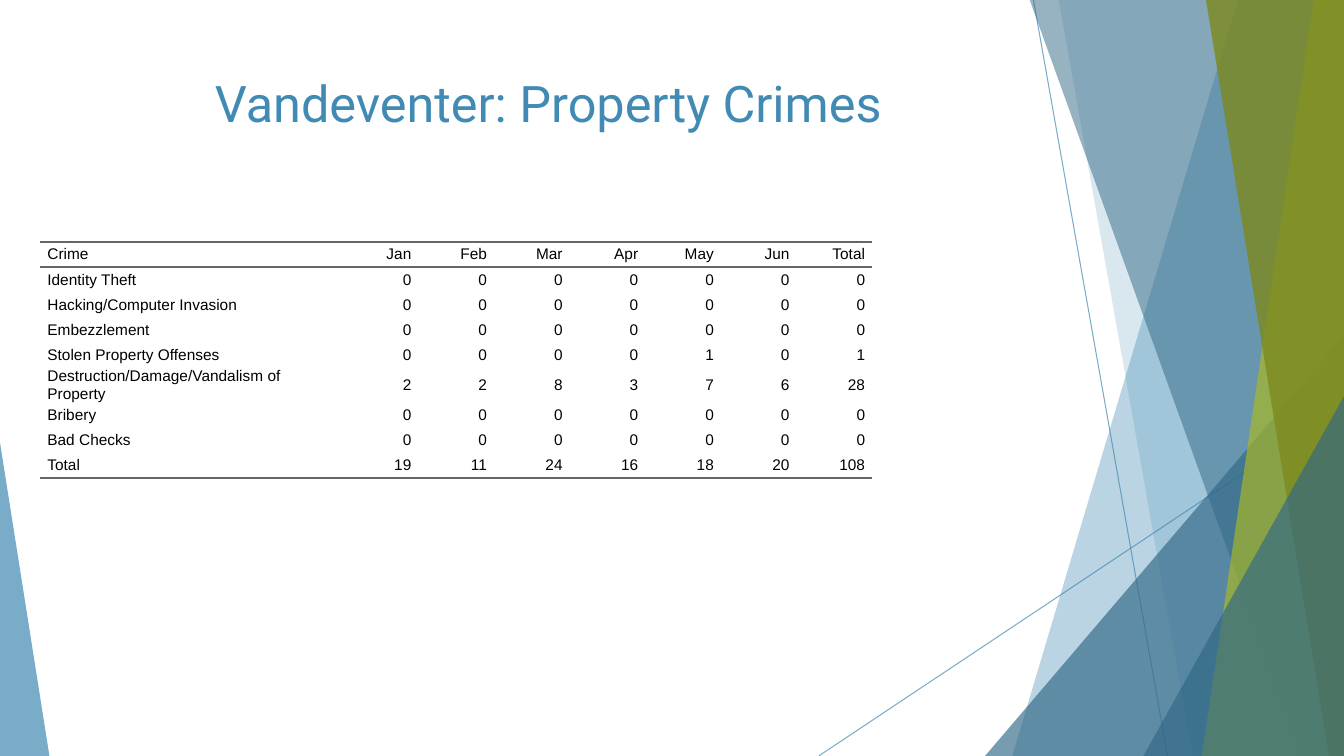
"""Build the Vandeventer property crimes slide."""
from lxml.etree import SubElement
from pptx import Presentation
from pptx.dml.color import RGBColor
from pptx.enum.shapes import MSO_CONNECTOR, MSO_SHAPE
from pptx.enum.text import MSO_ANCHOR, PP_ALIGN
from pptx.oxml.ns import qn
from pptx.util import Inches, Pt

TITLE = "Vandeventer: Property Crimes"
HEAD = ["Crime", "Jan", "Feb", "Mar", "Apr", "May", "Jun", "Total"]
CRIMES = [
    ("Identity Theft", 0, 0, 0, 0, 0, 0, 0),
    ("Hacking/Computer Invasion", 0, 0, 0, 0, 0, 0, 0),
    ("Embezzlement", 0, 0, 0, 0, 0, 0, 0),
    ("Stolen Property Offenses", 0, 0, 0, 0, 1, 0, 1),
    ("Destruction/Damage/Vandalism of Property", 2, 2, 8, 3, 7, 6, 28),
    ("Bribery", 0, 0, 0, 0, 0, 0, 0),
    ("Bad Checks", 0, 0, 0, 0, 0, 0, 0),
    ("Total", 19, 11, 24, 16, 18, 20, 108),
]
WIDE, HIGH = 13.33, 7.5
BLUE, NAVY, LIME, OLIVE = "418AB3", "316886", "A6B727", "7D891D"
BLACK, GRAY = "000000", "666666"
LINES = [(10.25, 0, 11.58, HIGH), (WIDE, 4.03, 8.12, HIGH)]
SHARDS = [
    ("slab", BLUE, 36, (12.28, 10.04)),
    ("slab", BLUE, 20, (10.5, 11.83)),
    ("wedge", NAVY, 66, (9.77, 3.33, 3.56, 1)),
    ("slab", NAVY, 50, (10.21, 12.91)),
    ("slab", LIME, 70, (13.03, 11.92)),
    ("slab", OLIVE, 80, (11.96, 13.18)),
    ("wedge", NAVY, 66, (11.34, 3.93, 1.99, 1)),
    ("wedge", BLUE, 70, (0, 4.39, 0.49, 0)),
]


def paint(color, code):
    color.rgb = RGBColor.from_string(code)


def fade(shape, alpha):
    for node in shape.element.iter(qn("a:srgbClr")):
        SubElement(node, qn("a:alpha"), val=str(alpha * 1000))


def add_line(slide, ends):
    line = slide.shapes.add_connector(MSO_CONNECTOR.STRAIGHT, *map(Inches, ends))
    line.line.width = Pt(0.75)
    paint(line.line.color, BLUE)
    fade(line, 70)
    SubElement(line.element.spPr, qn("a:effectLst"))


def add_slab(slide, top, base):
    rise = -0.01
    dots = [(WIDE, rise), (WIDE, HIGH), (base, HIGH)]
    pen = slide.shapes.build_freeform(Inches(top), Inches(rise))
    pen.add_line_segments([(Inches(x), Inches(y)) for x, y in dots])
    return pen.convert_to_shape()


def add_wedge(slide, left, top, width, peak):
    box = map(Inches, (left, top, width, HIGH - top))
    shape = slide.shapes.add_shape(MSO_SHAPE.ISOSCELES_TRIANGLE, *box)
    shape.adjustments[0] = peak
    return shape


def add_shard(slide, kind, code, alpha, size):
    make = {"slab": add_slab, "wedge": add_wedge}[kind]
    shape = make(slide, *size)
    shape.shadow.inherit = False
    shape.fill.solid()
    paint(shape.fill.fore_color, code)
    shape.line.fill.background()
    fade(shape, alpha)


def add_rule(cell, side):
    rule = SubElement(cell._tc.get_or_add_tcPr(), qn("a:" + side), w=str(Pt(2)))
    fill = SubElement(rule, qn("a:solidFill"))
    SubElement(fill, qn("a:srgbClr"), val=GRAY)


def set_cell(cell, text, first, sides):
    cell.margin_left = cell.margin_right = cell.margin_top = cell.margin_bottom = 0
    cell.vertical_anchor = MSO_ANCHOR.MIDDLE
    for side in sides:
        add_rule(cell, side)
    cell.fill.background()
    para = cell.text_frame.paragraphs[0]
    para.text = str(text)
    para.alignment = PP_ALIGN.LEFT if first else PP_ALIGN.RIGHT
    para.space_before = para.space_after = Pt(5)
    props = para._p.get_or_add_pPr()
    for name in ("marL", "marR"):
        props.set(name, str(Inches(0.07)))
    font = para.runs[0].font
    font.size, font.name = Pt(11), "Arial"
    paint(font.color, BLACK)


def add_grid(slide):
    rows = [HEAD, *CRIMES]
    cols = [3] + [0.75] * (len(HEAD) - 1)
    step = 0.25
    box = map(Inches, (0.4, 2.4, sum(cols), step * len(rows)))
    grid = slide.shapes.add_table(len(rows), len(cols), *box).table
    grid.first_row = grid.horz_banding = False
    style = grid._tbl.tblPr.find(qn("a:tableStyleId"))
    style.text = "{2D5ABB26-0587-4C30-8999-92F81FD0307C}"
    for col, width in zip(grid.columns, cols):
        col.width = Inches(width)
    rules = {0: ("lnT", "lnB"), len(rows) - 1: ("lnB",)}
    for r, row in enumerate(rows):
        grid.rows[r].height = Inches(step)
        for c, text in enumerate(row):
            set_cell(grid.cell(r, c), text, c == 0, rules.get(r, ()))


def set_title(slide):
    title = slide.shapes.title
    title.left, title.top, title.width, title.height = map(
        Inches, (0.74, 0.67, 9.4, 1.44))
    frame = title.text_frame
    frame.text = TITLE
    frame.vertical_anchor = MSO_ANCHOR.TOP
    para = frame.paragraphs[0]
    para.alignment = PP_ALIGN.CENTER
    font = para.runs[0].font
    font.size, font.name = Pt(36), "Roboto"
    paint(font.color, BLUE)


def main():
    deck = Presentation()
    deck.slide_width, deck.slide_height = Inches(WIDE), Inches(HIGH)
    slide = deck.slides.add_slide(deck.slide_layouts[5])
    for ends in LINES:
        add_line(slide, ends)
    for shard in SHARDS:
        add_shard(slide, *shard)
    add_grid(slide)
    set_title(slide)
    deck.save("out.pptx")


if __name__ == "__main__":
    main()
